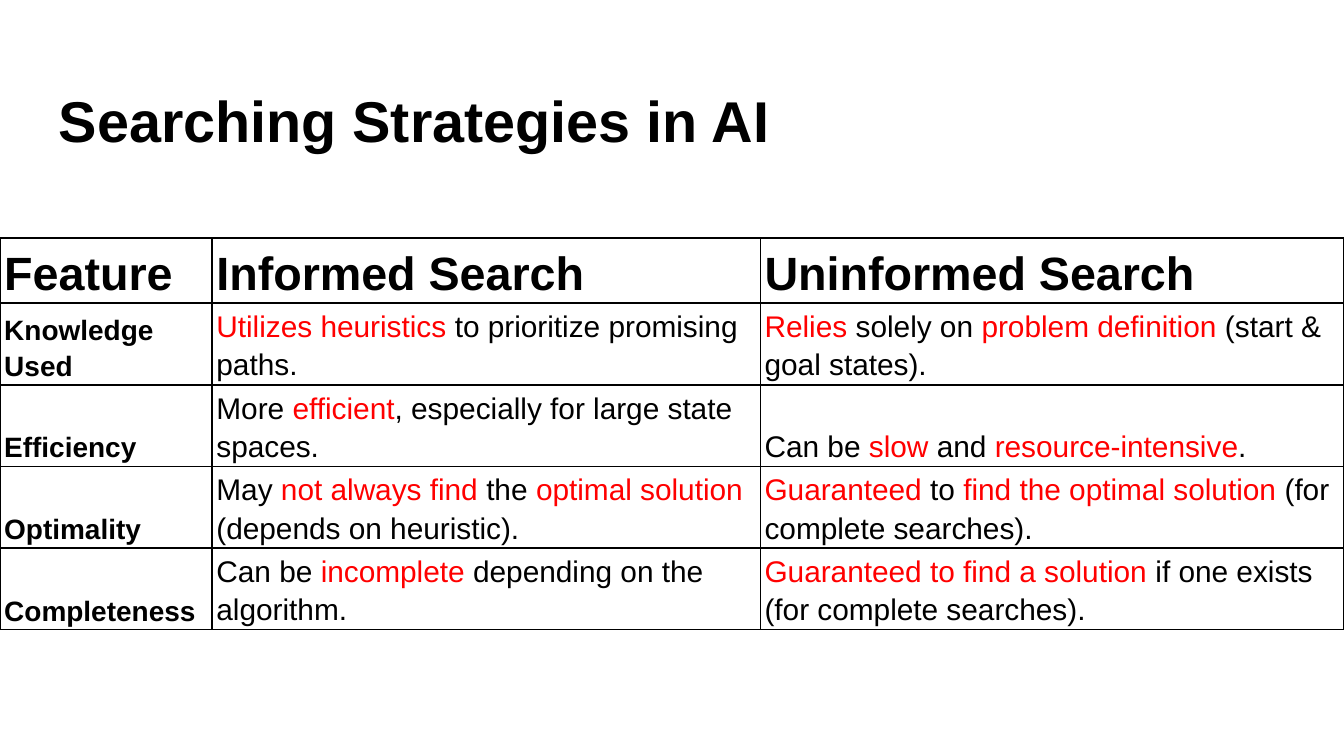
"""Build the slide that compares informed and uninformed search."""
import dataclasses

import lxml.etree
import pptx
import pptx.dml.color
import pptx.enum.text
import pptx.oxml
import pptx.oxml.ns
import pptx.util

Cm = pptx.util.Cm
Anchor = pptx.enum.text.MSO_ANCHOR


@dataclasses.dataclass(frozen=True)
class Theme:
    font: str = "Arial"
    ink: str = "000000"
    emphasis: str = "FF0000"
    title_size: float = 30.8
    header_size: float = 25
    feature_size: float = 15
    detail_size: float = 16
    border_width: float = 1


theme = Theme()


def add_marked_text(paragraph, marked, size, bold):
    for position, piece in enumerate(marked.split("*")):
        if not piece:
            continue
        run = paragraph.add_run()
        run.text = piece
        font_format = {"name": theme.font, "size": pptx.util.Pt(size), "bold": bold}
        for attribute, value in font_format.items():
            setattr(run.font, attribute, value)
        color = theme.emphasis if position % 2 else theme.ink
        run.font.color.rgb = pptx.dml.color.RGBColor.from_string(color)


def add_borders(cell):
    properties = cell._tc.get_or_add_tcPr()
    for position, side in enumerate(("lnL", "lnR", "lnT", "lnB")):
        border = pptx.oxml.parse_xml(
            f'<a:{side} {pptx.oxml.ns.nsdecls("a")} w="{pptx.util.Pt(theme.border_width)}">'
            f'<a:solidFill><a:srgbClr val="{theme.ink}"/></a:solidFill></a:{side}>'
        )
        properties.insert(position, border)


presentation = pptx.Presentation()
presentation.slide_width = Cm(25.4)
presentation.slide_height = Cm(14.29)
slide = presentation.slides.add_slide(presentation.slide_layouts[5])

heading = slide.shapes.title
heading_place = {"left": Cm(0.86), "top": Cm(1.24), "width": Cm(23.67), "height": Cm(1.6)}
for attribute, value in heading_place.items():
    setattr(heading, attribute, value)
heading_format = {
    "margin_left": Cm(0.25),
    "margin_right": Cm(0.25),
    "margin_top": Cm(0.36),
    "margin_bottom": Cm(0.25),
    "vertical_anchor": Anchor.TOP,
    "auto_size": pptx.enum.text.MSO_AUTO_SIZE.NONE,
    "word_wrap": True,
}
for attribute, value in heading_format.items():
    setattr(heading.text_frame, attribute, value)
heading_line = heading.text_frame.paragraphs[0]
heading_line.alignment = pptx.enum.text.PP_ALIGN.LEFT
add_marked_text(heading_line, "Searching Strategies in AI", theme.title_size, True)

comparison = [
    ("Feature", "Informed Search", "Uninformed Search"),
    (
        "Knowledge Used",
        "*Utilizes heuristics *to prioritize promising paths.",
        "*Relies* solely on *problem definition *(start & goal states).",
    ),
    (
        "Efficiency",
        "More *efficient*, especially for large state spaces.",
        "Can be *slow* and *resource-intensive*.",
    ),
    (
        "Optimality",
        "May *not always find* the *optimal solution *(depends on heuristic).",
        "*Guaranteed* to *find the optimal solution *(for complete searches).",
    ),
    (
        "Completeness",
        "Can be *incomplete* depending on the algorithm.",
        "*Guaranteed to find a solution *if one exists (for complete searches).",
    ),
]
column_widths = [Cm(4.01), Cm(10.36), Cm(11.03)]
row_height = Cm(1.07)
strategies = slide.shapes.add_table(
    len(comparison), len(column_widths), Cm(0), Cm(4.5),
    sum(column_widths), row_height * len(comparison),
).table
strategies.first_row = False
strategies.horz_banding = False
for column, width in zip(strategies.columns, column_widths):
    column.width = width

cell_format = {
    "margin_left": Cm(0.08),
    "margin_right": Cm(0.08),
    "margin_top": Cm(0.05),
    "margin_bottom": Cm(0.05),
    "vertical_anchor": Anchor.BOTTOM,
}
for row_number, entries in enumerate(comparison):
    strategies.rows[row_number].height = row_height
    for column_number, entry in enumerate(entries):
        cell = strategies.cell(row_number, column_number)
        for attribute, value in cell_format.items():
            setattr(cell, attribute, value)
        cell.fill.background()
        add_borders(cell)
        if row_number == 0:
            size = theme.header_size
        elif column_number == 0:
            size = theme.feature_size
        else:
            size = theme.detail_size
        entry_line = cell.text_frame.paragraphs[0]
        entry_line.line_spacing = 1.15
        add_marked_text(entry_line, entry, size, row_number == 0 or column_number == 0)

presentation.save("out.pptx")
